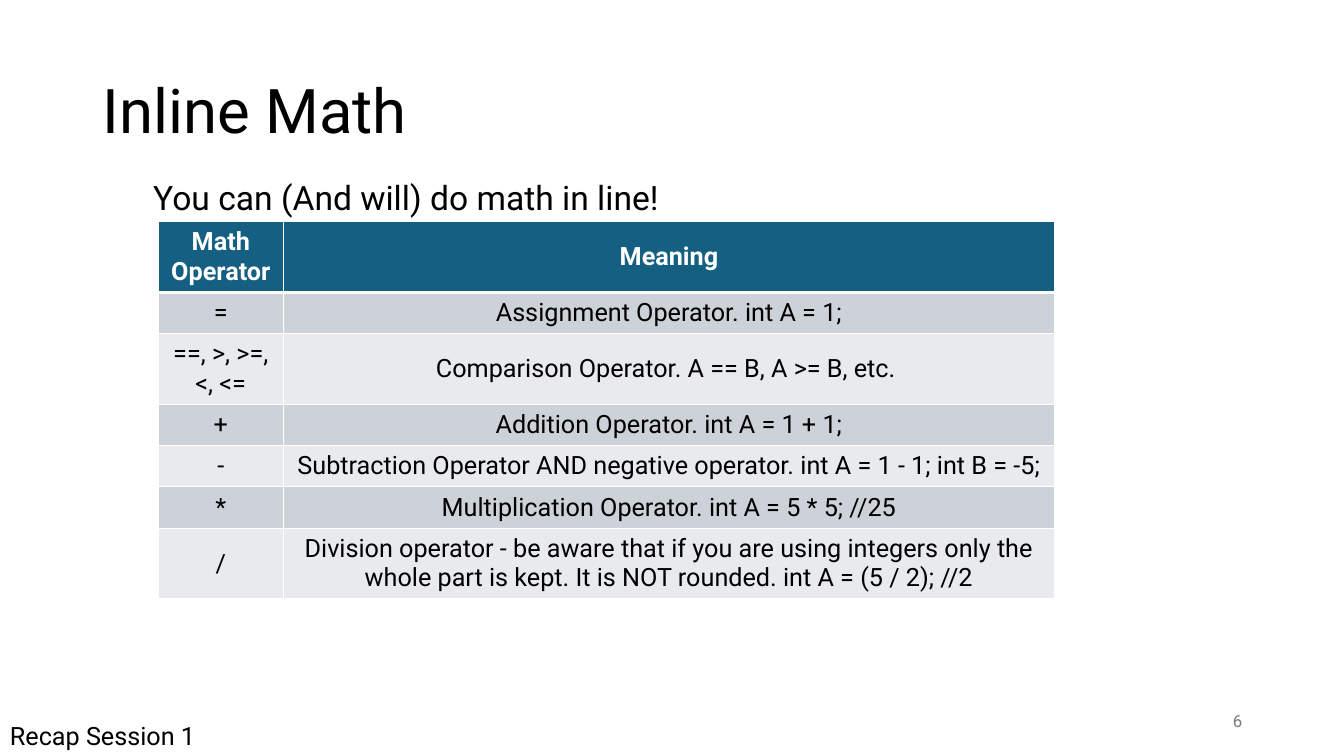
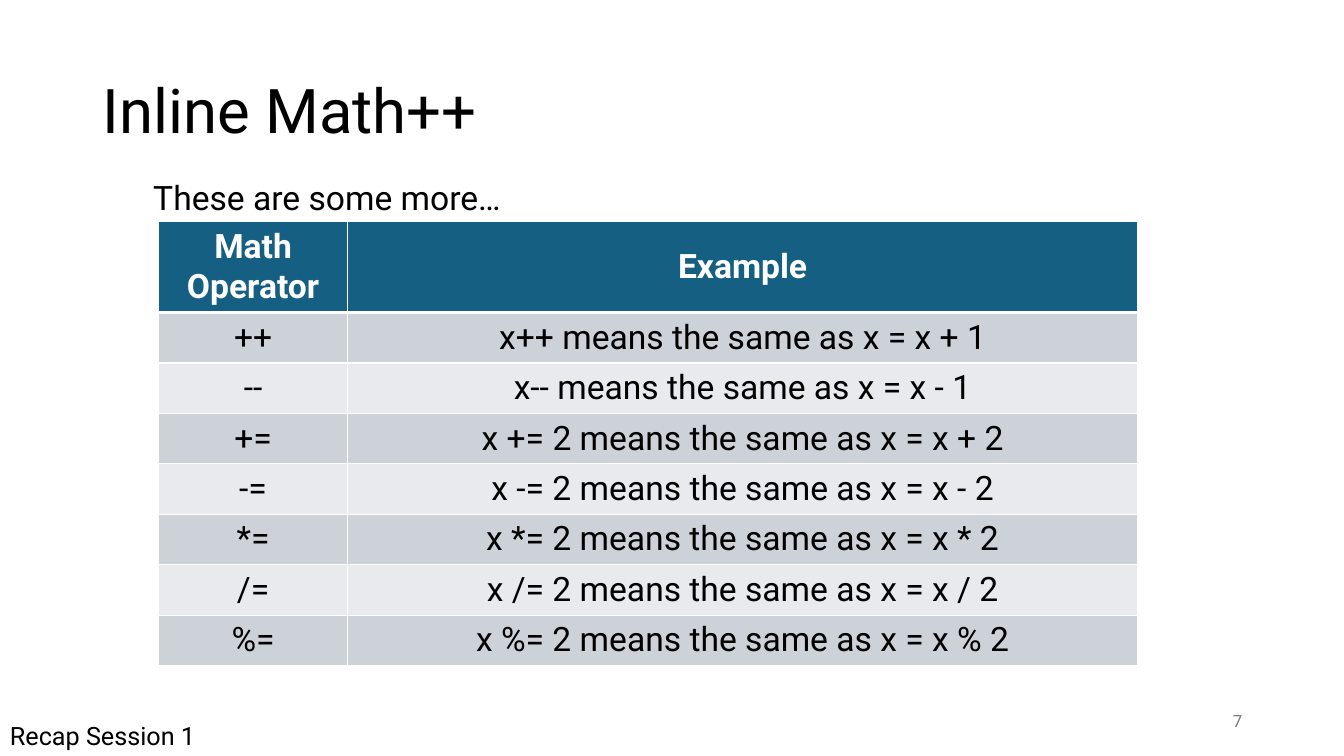
from pptx import Presentation
from pptx.dml.color import RGBColor
from pptx.enum.text import MSO_ANCHOR, MSO_AUTO_SIZE, PP_ALIGN
from pptx.oxml import parse_xml
from pptx.oxml.ns import nsdecls
from pptx.util import Inches, Pt


def rgb(hex_color):
    return RGBColor.from_string(hex_color)


def set_border(cell, side, width):
    """Draw one side (L, R, T or B) of a cell as a white line, width in points."""
    cell._tc.get_or_add_tcPr().append(parse_xml(
        f'<a:ln{side} {nsdecls("a")} w="{Pt(width)}"><a:solidFill>'
        f'<a:srgbClr val="{Deck.WHITE}"/></a:solidFill></a:ln{side}>'))


class Deck:
    FONT = "Roboto"
    BLACK, WHITE, GRAY = "000000", "FFFFFF", "797979"
    HEADER, BANDS = "156082", ("CCD2D8", "E8EAED")
    FOOTER = "Recap Session 1"

    def __init__(self):
        self.prs = Presentation()
        self.prs.slide_width = Inches(13.33)
        self.prs.slide_height = Inches(7.5)
        self.s = None

    def style(self, p, size, color, bold=False):
        for r in p.runs:
            r.font.name = self.FONT
            r.font.size = Pt(size)
            r.font.bold = bold
            r.font.color.rgb = rgb(color)

    def text(self, text, left, top, width, height, size, color=BLACK,
             anchor=MSO_ANCHOR.TOP, align=PP_ALIGN.LEFT, spacing=None):
        tb = self.s.shapes.add_textbox(
            Inches(left), Inches(top), Inches(width), Inches(height))
        tf = tb.text_frame
        tf.word_wrap = True
        tf.vertical_anchor = anchor
        p = tf.paragraphs[0]
        p.text = text
        p.alignment = align
        p.line_spacing = spacing
        self.style(p, size, color)
        return tf

    def slide(self, title, lead, number):
        """Start a slide with its title, lead line, number and footer."""
        self.s = self.prs.slides.add_slide(self.prs.slide_layouts[6])
        self.text(title, 0.92, 0.4, 11.5, 1.45, 44,
                  anchor=MSO_ANCHOR.MIDDLE, spacing=0.9)
        self.text(str(number), 9.42, 6.95, 3, 0.4, 12, self.GRAY,
                  MSO_ANCHOR.MIDDLE, PP_ALIGN.RIGHT)
        tf = self.text(lead, 0.92, 1.75, 11.5, 4.76, 24, spacing=0.9)
        tf.margin_left = Inches(0.6)
        tf = self.text(self.FOOTER, 0, 7.1, 3.14, 0.4, 18)
        tf.auto_size = MSO_AUTO_SIZE.SHAPE_TO_FIT_TEXT

    def table(self, rows, col_widths, row_heights, size):
        """Add a table whose first row is the header; lengths in inches."""
        tbl = self.s.shapes.add_table(
            len(rows), len(col_widths), Inches(1.57), Inches(2.2),
            Inches(sum(col_widths)), Inches(sum(row_heights))).table
        for column, width in zip(tbl.columns, col_widths):
            column.width = Inches(width)
        for i, (row, height) in enumerate(zip(rows, row_heights)):
            tbl.rows[i].height = Inches(height)
            for j, text in enumerate(row):
                self.cell(tbl.cell(i, j), text, i, size)

    def cell(self, cell, text, row, size):
        header = row == 0
        widths = {"L": 1, "R": 1, "T": 3 if row == 1 else 1, "B": 3 if header else 1}
        for side, width in widths.items():
            set_border(cell, side, width)
        cell.fill.solid()
        cell.fill.fore_color.rgb = rgb(self.HEADER if header else self.BANDS[(row - 1) % 2])
        cell.vertical_anchor = MSO_ANCHOR.MIDDLE
        p = cell.text_frame.paragraphs[0]
        p.text = text
        p.alignment = PP_ALIGN.CENTER
        self.style(p, size, self.WHITE if header else self.BLACK, header)


def main():
    deck = Deck()

    deck.slide("Inline Math", "You can (And will) do math in line!", 6)
    one_line, two_lines = 0.41, 0.69
    deck.table([
        ("Math Operator", "Meaning"),
        ("=", "Assignment Operator. int A = 1;"),
        ("==, >, >=, <, <=", "Comparison Operator. A == B, A >= B, etc. "),
        ("+", "Addition Operator. int A = 1 + 1;"),
        ("-", "Subtraction Operator AND negative operator. int A = 1 - 1; int B = -5;"),
        ("*", "Multiplication Operator. int A = 5 * 5; //25"),
        ("/", "Division operator - be aware that if you are using integers only the "
              "whole part is kept. It is NOT rounded. int A = (5 / 2); //2"),
    ], (1.24, 7.65),
        (two_lines, one_line, two_lines, one_line, one_line, one_line, two_lines), 18)

    deck.slide("Inline Math++", "These are some more…", 7)
    steps = [(op * 2, f"x{op * 2} means the same as x = x {op} 1") for op in "+-"]
    assignments = [(f"{op}=", f"x {op}= 2 means the same as x = x {op} 2") for op in "+-*/%"]
    rows = [("Math Operator", "Example")] + steps + assignments
    deck.table(rows, (1.88, 7.83), [0.87] + [0.49] * (len(rows) - 1), 24)

    deck.prs.save("out.pptx")


if __name__ == "__main__":
    main()
